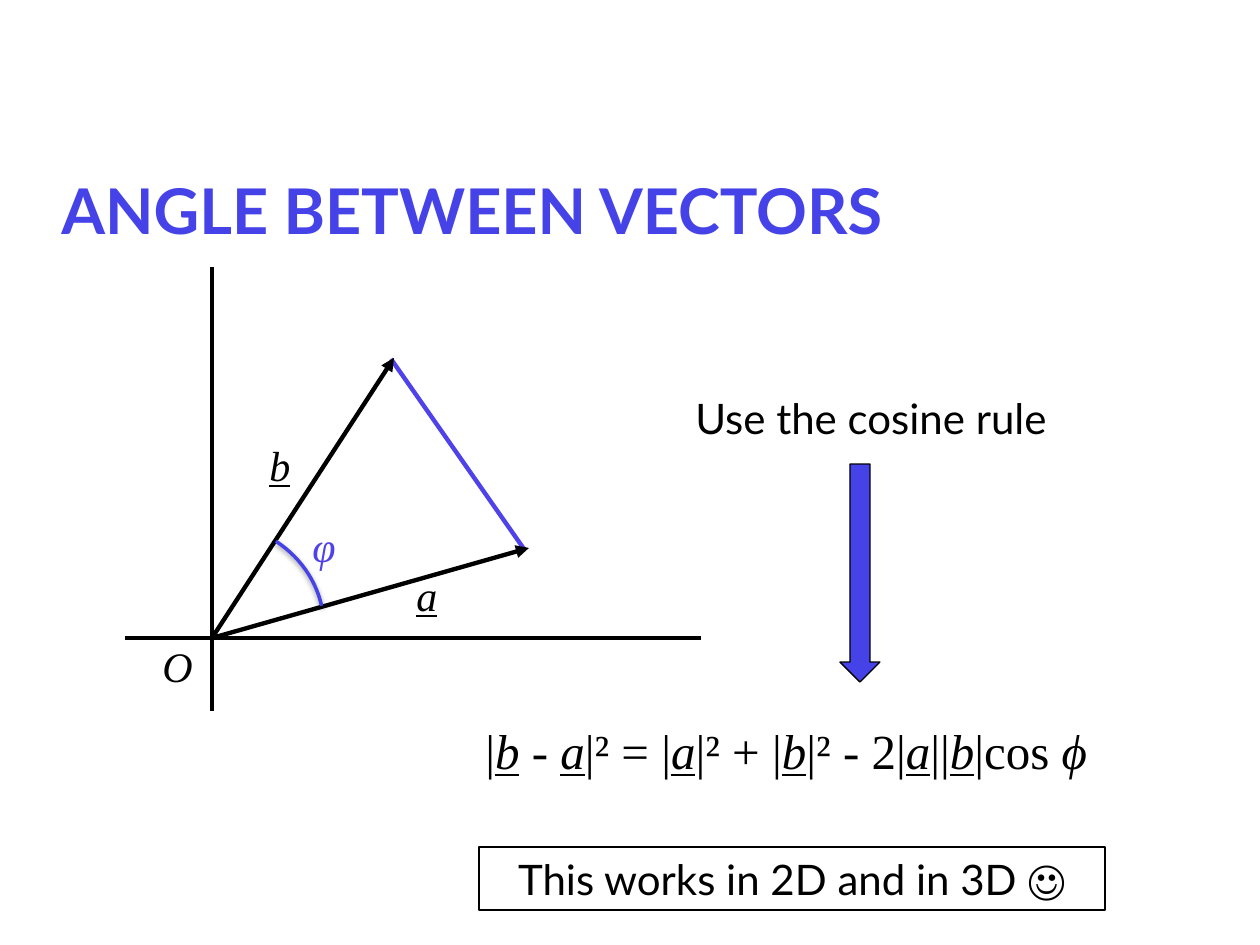
import pptx
import pptx.dml.color
import pptx.enum.shapes
import pptx.enum.text
import pptx.oxml.ns
import pptx.util
from lxml import etree

PX = 914400 / 126
BLUE = "4543E8"
VIOLET = "4F42E8"
BLACK = "000000"
SANS = "Lato"
SERIF = "Times New Roman"
VECTORS = ("a", "b")
ORIGIN = (212, 638)
TIP_A = (529, 548)
TIP_B = (394, 358)
EQUATION = "|_b_ - _a_|² = |_a_|² + |_b_|² - 2|_a_||_b_|cos _ϕ_"
SHAPES = pptx.enum.shapes.MSO_SHAPE
ALIGN = pptx.enum.text.PP_ALIGN
ANCHOR = pptx.enum.text.MSO_ANCHOR


def px(*lengths):
    """Turn pixel lengths into EMU."""
    return [pptx.util.Emu(round(length * PX)) for length in lengths]


def color(value):
    """Turn a hex string into a colour."""
    return pptx.dml.color.RGBColor.from_string(value)


def add_child(parent, tag, **attributes):
    """Append a drawing element with its attributes."""
    return etree.SubElement(parent, pptx.oxml.ns.qn(tag), attributes)


def set_line(shape, value, width):
    """Set the outline colour and its width in points."""
    shape.line.color.rgb = color(value)
    shape.line.width = pptx.util.Pt(width)


def write(box, text, size, font=SANS, value=BLACK, bold=False,
          align=ALIGN.LEFT, anchor=ANCHOR.TOP, wrap=True):
    """Write one paragraph, with pieces between underscores in italics."""
    frame = box.text_frame
    frame.word_wrap = wrap
    frame.vertical_anchor = anchor
    para = frame.paragraphs[0]
    para.alignment = align
    for index, piece in enumerate(text.split("_")):
        if not piece:
            continue
        span = para.add_run()
        span.text = piece
        span.font.name = font
        span.font.size = pptx.util.Pt(size)
        span.font.color.rgb = color(value)
        span.font.bold = bold
        span.font.italic = index % 2 == 1
        span.font.underline = span.font.italic and piece in VECTORS


def add_text(page, area, text, size, **style):
    """Add a text box."""
    write(page.shapes.add_textbox(*px(*area)), text, size, **style)


def add_line(page, start, end, value=BLACK, width=2.5, arrow=False):
    """Add a straight line, with an arrowhead at its end if wanted."""
    line = page.shapes.add_connector(
        pptx.enum.shapes.MSO_CONNECTOR.STRAIGHT, *px(*start, *end))
    set_line(line, value, width)
    if arrow:
        add_child(line.line._get_or_add_ln(), "a:tailEnd", type="triangle")
    add_child(line._element.spPr, "a:effectLst")


def add_shape(page, kind, area, line, width, fill=None):
    """Add a preset shape without shadow."""
    shape = page.shapes.add_shape(kind, *px(*area))
    shape.shadow.inherit = False
    set_line(shape, line, width)
    if fill:
        shape.fill.solid()
        shape.fill.fore_color.rgb = color(fill)
    else:
        shape.fill.background()
    return shape


def add_angle(page, area, start, end):
    """Add the angle's arc, in degrees, with a soft shadow below it."""
    arc = add_shape(page, SHAPES.ARC, area, BLUE, 2)
    for index, degrees in enumerate((start, end)):
        arc.adjustments[index] = degrees * 0.6
    effects = arc._element.spPr.find(pptx.oxml.ns.qn("a:effectLst"))
    shadow = add_child(effects, "a:outerShdw", blurRad="40000", dist="20000",
                       dir="5400000", rotWithShape="0")
    add_child(add_child(shadow, "a:srgbClr", val=BLACK), "a:alpha", val="38000")


def add_diagram(page):
    """Add the axes, the two vectors, their labels and the angle."""
    add_line(page, (125, ORIGIN[1]), (701, ORIGIN[1]), width=2.25)
    add_line(page, (ORIGIN[0], 267), (ORIGIN[0], 711), width=2.25)
    add_line(page, (391, 359), (524, 549), VIOLET)
    for tip in (TIP_B, TIP_A):
        add_line(page, ORIGIN, tip, arrow=True)
    add_text(page, (150, 634, 54, 58), "_O_", 24, font=SERIF, align=ALIGN.RIGHT)
    add_text(page, (404, 563, 100, 78), "_a_", 24, font=SERIF)
    add_text(page, (257, 433, 97, 67), "_b_", 24, font=SERIF)
    add_text(page, (300, 514, 132, 78), "_φ_", 24, font=SERIF, value=VIOLET)
    add_angle(page, (97, 522, 227, 210), 307.36, 349.2)


def add_rule(page):
    """Add the hint, the arrow, the equation and the boxed remark."""
    add_text(page, (683, 386, 402, 63), "Use the cosine rule", 24, wrap=False)
    arrow = add_shape(page, SHAPES.DOWN_ARROW, (840, 464, 40, 218), BLACK, 0.75, BLUE)
    arrow.adjustments[1] = 0.5
    add_text(page, (473, 714, 650, 72), EQUATION, 28, font=SERIF,
             anchor=ANCHOR.MIDDLE, wrap=False)
    remark = add_shape(page, SHAPES.RECTANGLE, (479, 847, 626, 63), BLACK, 0.75)
    write(remark, "This works in 2D and in 3D ☺", 24, align=ALIGN.CENTER)


def main():
    """Build and save the deck."""
    deck = pptx.Presentation()
    deck.slide_width, deck.slide_height = px(1260, 945)
    page = deck.slides.add_slide(deck.slide_layouts[6])
    add_text(page, (49, 130, 1134, 158), "ANGLE BETWEEN VECTORS", 36,
             value=BLUE, bold=True, anchor=ANCHOR.MIDDLE)
    add_diagram(page)
    add_rule(page)
    deck.save("out.pptx")


if __name__ == "__main__":
    main()
